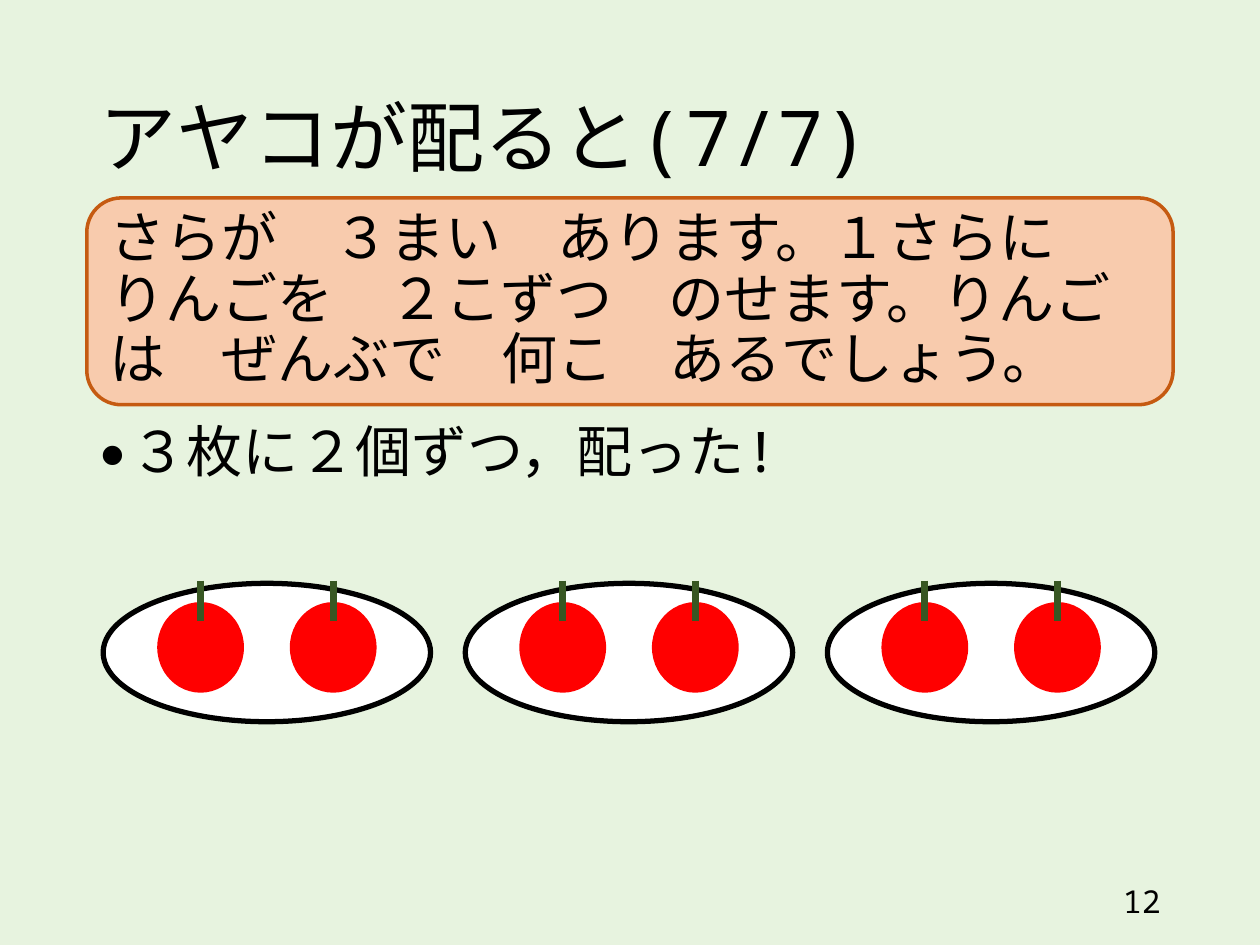
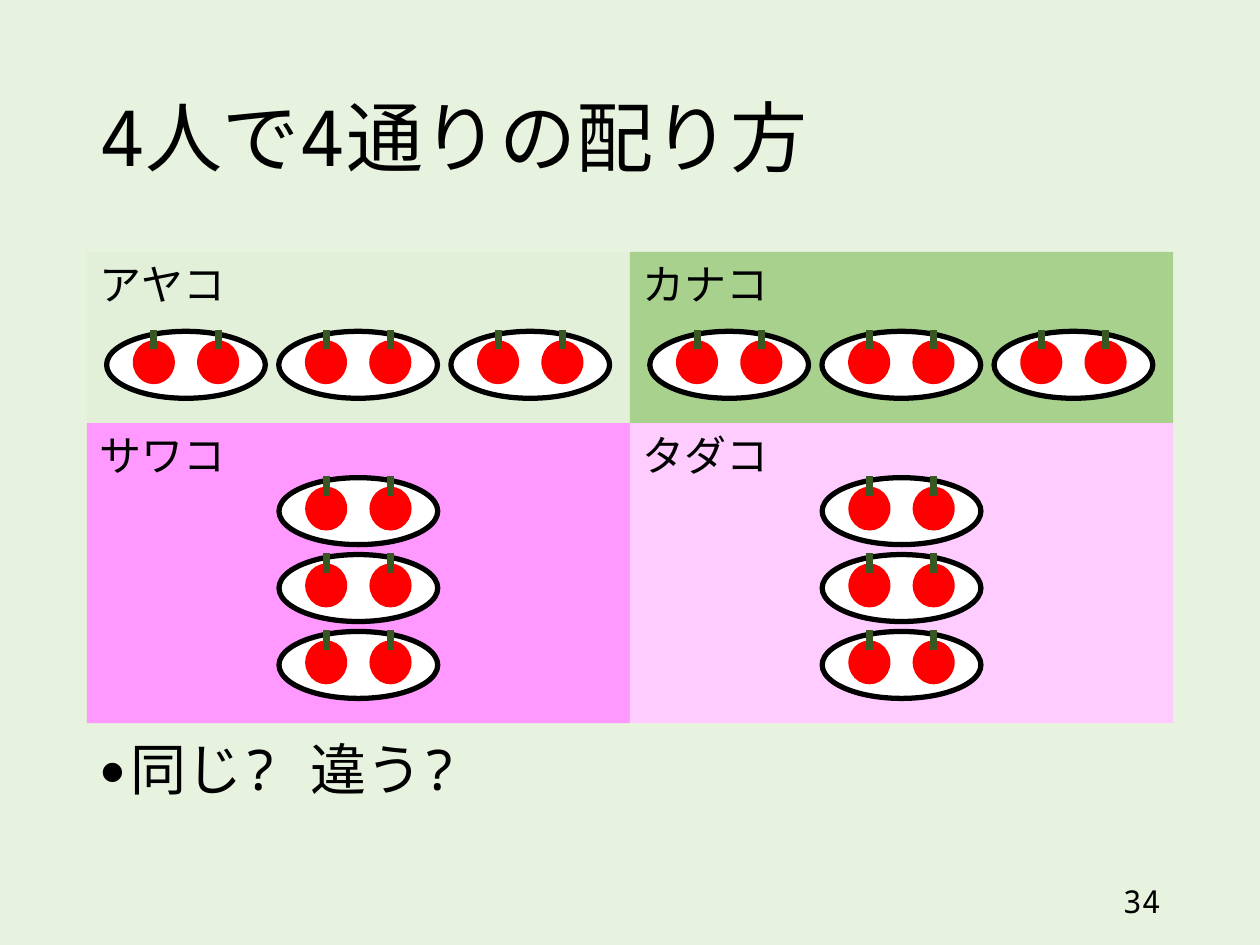
from lxml.etree import SubElement
from pptx import Presentation
from pptx.dml.color import RGBColor
from pptx.enum.lang import MSO_LANGUAGE_ID
from pptx.enum.shapes import MSO_CONNECTOR, MSO_SHAPE
from pptx.enum.text import MSO_ANCHOR, MSO_AUTO_SIZE, PP_ALIGN
from pptx.oxml.ns import qn
from pptx.util import Cm, Pt

MONO = "Noto Sans Mono"
CJK = "Noto Sans CJK JP"
BACKGROUND, BLACK, WHITE = "E7F3DF", "000000", "FFFFFF"
APPLE, STEM = "FF0000", "385723"
BOX_FILL, BOX_LINE = "F8CBAD", "C55A11"

MARGIN, CONTENT_W = 1.75, 21.9
TITLE = (MARGIN, 1.02, CONTENT_W, 3.68)
NUMBER = (17.93, 17.65, 5.72, 1.02)
PLATE_COUNT = 3


def rgb(value):
    return RGBColor.from_string(value)


def cm(box):
    return [Cm(v) for v in box]


def set_all(target, values):
    for name, value in values.items():
        setattr(target, name, value)


def add_run(p, text, size, font=MONO):
    r = p.add_run()
    r.text = text
    set_all(r.font, {"size": Pt(size), "name": font, "language_id": MSO_LANGUAGE_ID.JAPANESE})
    r.font.color.rgb = rgb(BLACK)
    SubElement(r._r.get_or_add_rPr(), qn("a:ea"), typeface=font)


def write(shape, runs, size, frame=None, paragraph=None):
    tf = shape.text_frame
    set_all(tf, {"word_wrap": True, "auto_size": MSO_AUTO_SIZE.NONE, **(frame or {})})
    p = tf.paragraphs[0]
    set_all(p, {"alignment": PP_ALIGN.LEFT, **(paragraph or {})})
    for text, font in runs:
        add_run(p, text, size, font)
    return p


def add_block(shapes, kind, box, fill, line=None, width=0):
    sp = shapes.add_shape(kind, *cm(box))
    sp.shadow.inherit = False
    sp.fill.solid()
    sp.fill.fore_color.rgb = rgb(fill)
    if line:
        sp.line.color.rgb = rgb(line)
        sp.line.width = Pt(width)
    else:
        sp.line.fill.background()
    return sp


def add_stem(shapes, x, top, bottom):
    line = shapes.add_connector(MSO_CONNECTOR.STRAIGHT, *cm((x, top, x, bottom)))
    line.line.color.rgb = rgb(STEM)
    line.line.width = Pt(4)
    SubElement(line._element.spPr, qn("a:effectLst"))


def add_plate(s, box):
    x, y, w, h = box
    shapes = s.shapes.add_group_shape().shapes
    add_block(shapes, MSO_SHAPE.OVAL, box, WHITE, BLACK, 3)
    apple_w, apple_h = 0.265 * w, 0.655 * h
    for i in range(2):
        left = x + (0.165 + 0.405 * i) * w
        add_block(shapes, MSO_SHAPE.OVAL, (left, y + 0.135 * h, apple_w, apple_h), APPLE)
        add_stem(shapes, left + apple_w / 2, y - 0.02 * h, y + 0.27 * h)


def add_plates(s, box, step_x, step_y):
    x, y, w, h = box
    for i in range(PLATE_COUNT):
        add_plate(s, (x + i * step_x, y + i * step_y, w, h))


def add_bullet(s, box, runs):
    sp = s.shapes.add_textbox(*cm(box))
    pPr = sp.text_frame.paragraphs[0]._p.get_or_add_pPr()
    pPr.set("marL", str(Cm(0.64)))
    pPr.set("indent", str(-Cm(0.64)))
    SubElement(pPr, qn("a:buSzPct"), val="80000")
    SubElement(pPr, qn("a:buFont"), typeface=MONO)
    SubElement(pPr, qn("a:buChar"), char="●")
    write(sp, runs, 32, paragraph={"line_spacing": 0.9})


def add_slide(prs, title, number):
    s = prs.slides.add_slide(prs.slide_layouts[5])
    sp = s.shapes.title
    set_all(sp, dict(zip(("left", "top", "width", "height"), cm(TITLE))))
    middle = {"vertical_anchor": MSO_ANCHOR.MIDDLE}
    write(sp, [(title, MONO)], 44, middle, {"line_spacing": 0.9})
    sp = s.shapes.add_textbox(*cm(NUMBER))
    write(sp, [(number, MONO)], 18, middle, {"alignment": PP_ALIGN.RIGHT})
    return s


def add_problem(s, box, text):
    sp = add_block(s.shapes, MSO_SHAPE.ROUNDED_RECTANGLE, box, BOX_FILL, BOX_LINE, 2)
    write(sp, [(text, CJK)], 32, {"vertical_anchor": MSO_ANCHOR.MIDDLE}, {"line_spacing": 0.9})


def add_child(s, box, name, fill, stacked):
    x, y, w, h = box
    add_block(s.shapes, MSO_SHAPE.RECTANGLE, box, fill)
    plate_w, plate_h = 3.2, 1.35
    if stacked:
        add_plates(s, (x + (w - plate_w) / 2, y + 1.1, plate_w, plate_h), 0, 1.55)
    else:
        add_plates(s, (x + 0.4, y + 1.6, plate_w, plate_h), 3.47, 0)
    sp = s.shapes.add_textbox(*cm((x, y, 3.07, 1.27)))
    write(sp, [(name, MONO)], 24, {"word_wrap": False})


def build_sharing(prs):
    s = add_slide(prs, "アヤコが配ると(7/7)", "12")
    add_bullet(s, (MARGIN, 8.43, CONTENT_W, 8.71),
               [("３", CJK), ("枚に", MONO), ("２", CJK), ("個ずつ，配った!", MONO)])
    add_plates(s, (2.08, 11.76, 6.6, 2.79), 7.3, 0)
    add_problem(s, (MARGIN, 3.99, CONTENT_W, 4.17),
                "さらが　３まい　あります。１さらに　りんごを　２こずつ　のせます。"
                "りんごは　ぜんぶで　何こ　あるでしょう。")


def build_comparison(prs):
    s = add_slide(prs, "4人で4通りの配り方", "34")
    add_bullet(s, (MARGIN, 14.83, CONTENT_W, 2.59), [("同じ? 違う?", MONO)])
    rows = [
        (5.08, 3.5, False, [("アヤコ", "E2F0D9"), ("カナコ", "A9D18E")]),
        (8.53, 6.05, True, [("サワコ", "FF99FF"), ("タダコ", "FFCCFF")]),
    ]
    w = CONTENT_W / 2
    for top, height, stacked, children in rows:
        for i, (name, fill) in enumerate(children):
            add_child(s, (MARGIN + i * w, top, w, height), name, fill, stacked)


def main():
    prs = Presentation()
    set_all(prs, {"slide_width": Cm(25.4), "slide_height": Cm(19.05)})
    fill = prs.slide_master.background.fill
    fill.solid()
    fill.fore_color.rgb = rgb(BACKGROUND)
    build_sharing(prs)
    build_comparison(prs)
    prs.save("out.pptx")


if __name__ == "__main__":
    main()
